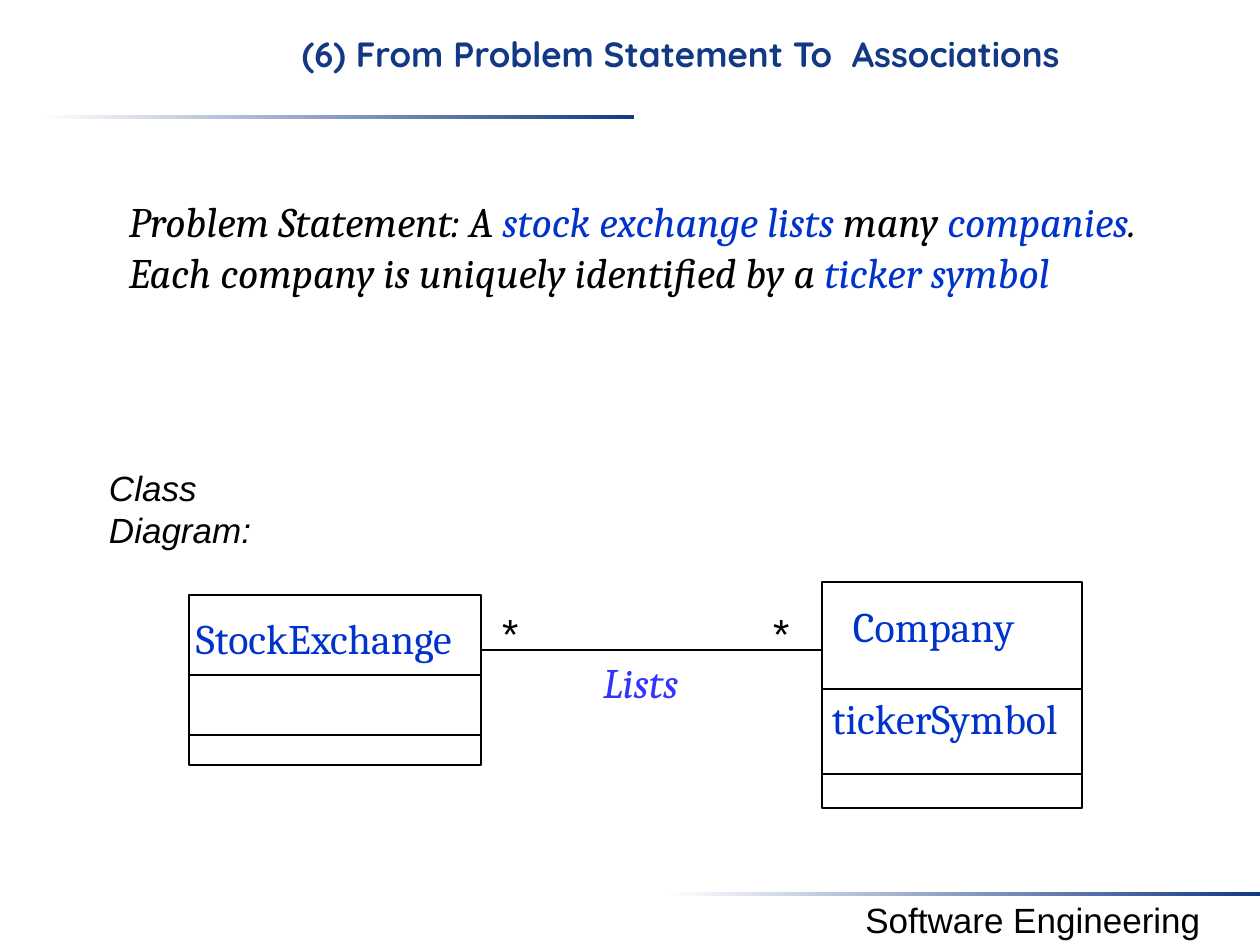
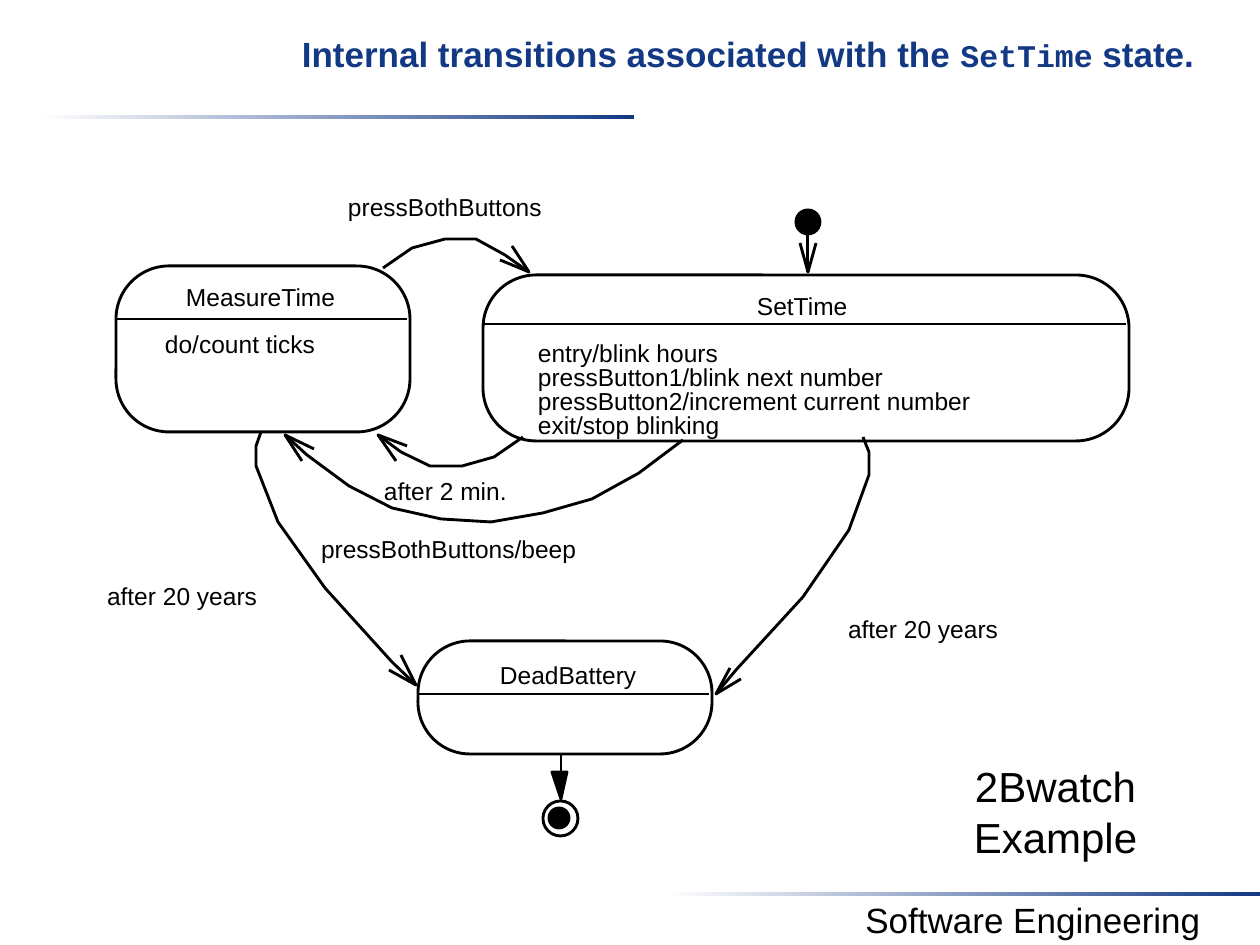
from lxml import etree
from pptx import Presentation
from pptx import util as u
from pptx.dml.color import RGBColor
from pptx.enum import shapes, text
from pptx.oxml.ns import qn

PX = 914400 / 126
NAVY, BLUE, VIOLET, BLACK, WHITE = "133984", "0033CC", "3333FF", "000000", "FFFFFF"
THIN, THICK = 1, 1.63
LEFT, CENTER = text.PP_ALIGN.LEFT, text.PP_ALIGN.CENTER
SHAPE = shapes.MSO_SHAPE


def px(*lengths):
    return [u.Emu(round(n * PX)) for n in lengths]


def rgb(color):
    return RGBColor.from_string(color)


def style(sp, fill=None, width=THICK):
    """Black outline, optional fill and no shadow."""
    sp.shadow.inherit = False
    if fill:
        sp.fill.solid()
        sp.fill.fore_color.rgb = rgb(fill)
    else:
        sp.fill.background()
    sp.line.color.rgb = rgb(BLACK)
    sp.line.width = u.Pt(width)


def add_text(s, box, runs, size, font="Arial", color=BLACK, bold=False,
             italic=False, align=LEFT, insets=(13, 6)):
    """Runs are a string, or (text, overrides) pairs."""
    tf = s.shapes.add_textbox(*px(*box)).text_frame
    tf.word_wrap = True
    tf.margin_left = tf.margin_right = px(insets[0])[0]
    tf.margin_top = tf.margin_bottom = px(insets[1])[0]
    p = tf.paragraphs[0]
    p.alignment = align
    for words, own in [(runs, {})] if isinstance(runs, str) else runs:
        r = p.add_run()
        r.text = words
        r.font.name = own.get("font", font)
        r.font.size = u.Pt(own.get("size", size))
        r.font.color.rgb = rgb(own.get("color", color))
        r.font.bold = bold
        r.font.italic = italic


def add_line(s, x1, y1, x2, y2, width=THICK):
    line = s.shapes.add_connector(shapes.MSO_CONNECTOR.STRAIGHT, *px(x1, y1, x2, y2))
    line.line.color.rgb = rgb(BLACK)
    line.line.width = u.Pt(width)
    etree.SubElement(line._element.spPr, qn("a:effectLst"))


def add_path(s, points, fill=None):
    builder = s.shapes.build_freeform(*points[0], scale=PX)
    builder.add_line_segments(points[1:], close=bool(fill))
    style(builder.convert_to_shape(), fill)


def add_band(s, x, y):
    sp = s.shapes.add_shape(SHAPE.RECTANGLE, *px(x, y, 595, 4))
    sp.shadow.inherit = False
    sp.line.fill.background()
    sp.fill.gradient()
    sp.fill.gradient_angle = 0
    for stop, color, position in zip(sp.fill.gradient_stops, (WHITE, NAVY), (0, 1)):
        stop.color.rgb = rgb(color)
        stop.position = position


def add_slide(prs, title, title_x, title_width, font="Arial"):
    """Slide with the shared bands, footer and title."""
    s = prs.slides.add_slide(prs.slide_layouts[6])
    add_band(s, 39, 115)
    add_band(s, 665, 892)
    add_text(s, (806, 892, 454, 55), "Software Engineering", 20, align=CENTER)
    add_text(s, (title_x, 25, title_width, 95), title, 20, font, NAVY,
             bold=True, align=CENTER, insets=(13, 7))
    return s


def add_class(s, x, y, width, height, rules):
    sp = s.shapes.add_shape(SHAPE.RECTANGLE, *px(x, y, width, height))
    style(sp, width=THIN)
    for rule in rules:
        add_line(s, x, rule, x + width, rule, THIN)


def add_label(s, x, y, width, words):
    add_text(s, (x, y, width, 29), words, 14, insets=(0, 0))


def add_state(s, x, y, width, height, corner, rule, name, name_box):
    sp = s.shapes.add_shape(SHAPE.ROUNDED_RECTANGLE, *px(x, y, width, height))
    sp.adjustments[0] = corner
    style(sp)
    add_line(s, x, rule, x + width - 3, rule)
    add_label(s, *name_box, name)


def add_transition(s, points, wings):
    """Bent line that ends in an open arrowhead."""
    add_path(s, points)
    add_path(s, [wings[0], points[-1], wings[1]])


def add_circle(s, x, y, size, fill=None):
    style(s.shapes.add_shape(SHAPE.OVAL, *px(x, y, size, size)), fill)


def associations_slide(prs):
    s = add_slide(prs, "(6) From Problem Statement To  Associations", 102, 1158, "Quicksand")
    add_text(s, (96, 460, 180, 97), "Class Diagram:", 20, italic=True)
    add_class(s, 189, 595, 292, 170, (675, 735))
    add_class(s, 822, 582, 260, 226, (689, 774))
    add_line(s, 481, 650, 821, 650, THIN)
    for x, y, width, name in ((183, 607, 300, "StockExchange"), (840, 595, 200, "Company"),
                              (819, 687, 266, "tickerSymbol")):
        add_text(s, (x, y, width, 63), name, 24, "Cambria", BLUE)
    add_text(s, (590, 651, 117, 63), "Lists", 24, "Cambria", VIOLET, italic=True)
    for x in (489, 760):
        add_text(s, (x, 602, 42, 63), "*", 24)
    term = {"color": BLUE}
    statement = [("Problem Statement: A ", {}), ("stock exchange lists", term),
                 (" many ", {}), ("companies", term),
                 (". Each company is uniquely identified by a ", {}), ("ticker symbol", term)]
    add_text(s, (116, 190, 1106, 113), statement, 24, "Cambria", italic=True)


def transitions_slide(prs):
    title = [("Internal transitions associated with the ", {}),
             ("SetTime", {"font": "Courier New", "size": 18}), (" state.", {})]
    s = add_slide(prs, title, 256, 984)

    add_state(s, 483, 275, 646, 166, 0.32, 324, "SetTime", (757, 291, 102))
    actions = ("entry/blink hours", "pressButton1/blink next number",
               "pressButton2/increment current number", "exit/stop blinking")
    for i, action in enumerate(actions):
        add_label(s, 538, 338 + 24 * i, 542, action)
    add_state(s, 116, 266, 294, 166, 0.32, 319, "MeasureTime", (186, 282, 161))
    add_label(s, 165, 329, 205, "do/count ticks")
    add_state(s, 418, 641, 294, 113, 0.46, 694, "DeadBattery", (500, 660, 150))

    add_circle(s, 796, 210, 24, BLACK)
    transitions = (
        ([(808, 222), (808, 272)], [(816, 243), (800, 243)]),
        ([(383, 268), (412, 248), (445, 239), (476, 239), (505, 255), (529, 272)],
         [(512, 246), (500, 260)]),
        ([(523, 437), (494, 457), (462, 466), (430, 466), (401, 452), (378, 435)],
         [(396, 461), (407, 446)]),
        ([(683, 440), (639, 473), (592, 499), (543, 513), (491, 522), (441, 519),
          (392, 508), (349, 486), (307, 455), (285, 435)], [(302, 461), (314, 449)]),
        ([(863, 437), (869, 452), (869, 475), (849, 530), (803, 597), (736, 670),
          (716, 694)], [(741, 679), (730, 668)]),
        ([(261, 432), (256, 446), (256, 466), (278, 522), (325, 588), (392, 662),
          (416, 685)], [(401, 655), (389, 670)]),
    )
    for points, wings in transitions:
        add_transition(s, points, wings)

    add_line(s, 561, 755, 561, 772)
    add_path(s, [(552, 772), (567, 772), (561, 799)], BLACK)
    add_circle(s, 543, 801, 35)
    add_circle(s, 549, 808, 20, BLACK)

    add_label(s, 348, 192, 235, "pressBothButtons")
    add_label(s, 321, 534, 307, "pressBothButtons/beep")
    add_label(s, 384, 476, 176, "after 2 min.")
    for x, y in ((848, 614), (107, 581)):
        add_label(s, x, y, 205, "after 20 years")
    add_text(s, (914, 755, 283, 115), "2Bwatch Example", 24, align=CENTER)


def main():
    prs = Presentation()
    prs.slide_width, prs.slide_height = px(1260, 945)
    associations_slide(prs)
    transitions_slide(prs)
    prs.save("out.pptx")


if __name__ == "__main__":
    main()
